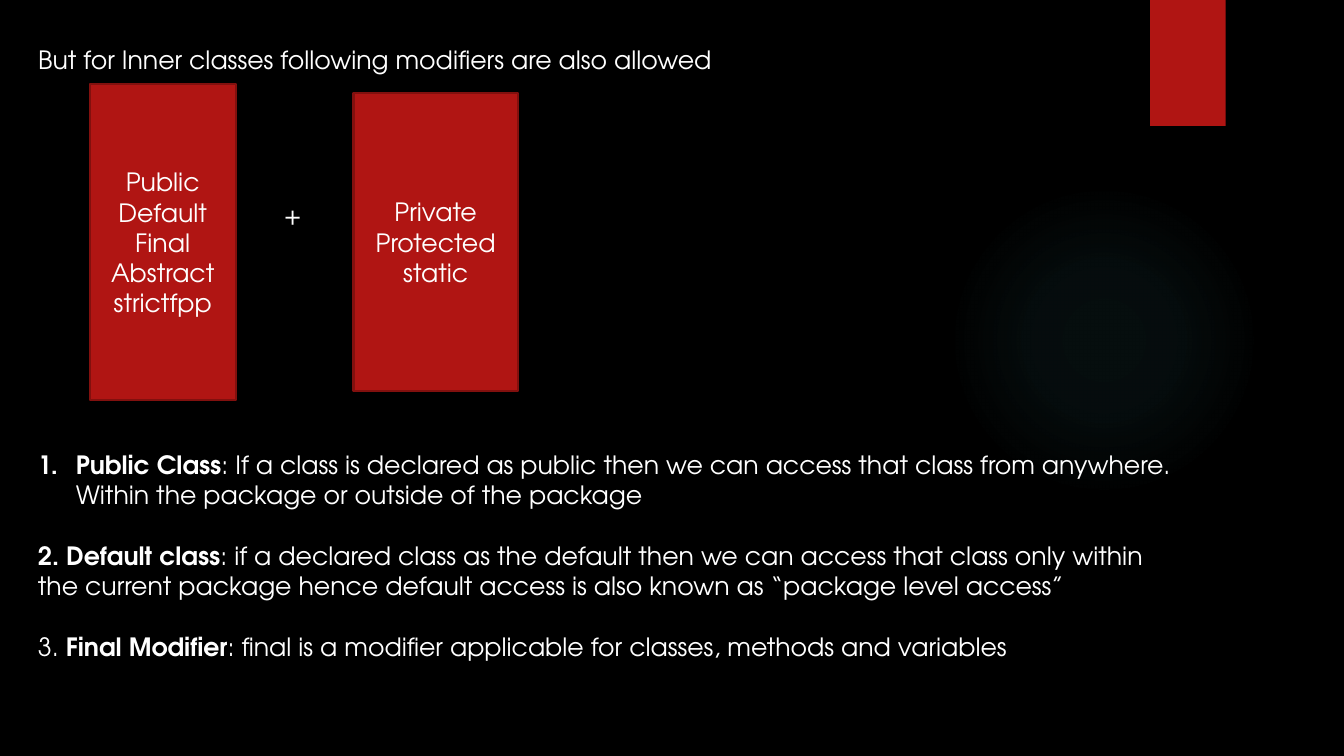
"""Build a slide on the modifiers allowed for inner classes."""
from dataclasses import dataclass

from lxml.etree import SubElement
from pptx import Presentation
from pptx.dml.color import RGBColor
from pptx.enum.shapes import MSO_SHAPE
from pptx.enum.text import MSO_ANCHOR, MSO_AUTO_SIZE, PP_ALIGN
from pptx.oxml import parse_xml
from pptx.oxml.ns import nsdecls, qn
from pptx.shapes.autoshape import Shape
from pptx.slide import Slide
from pptx.text.text import TextFrame
from pptx.util import Pt

BLACK = RGBColor(0x00, 0x00, 0x00)
WHITE = RGBColor(0xFF, 0xFF, 0xFF)
RED = RGBColor(0xB0, 0x15, 0x13)
DARK_RED = RGBColor(0x82, 0x10, 0x0E)
TEAL = RGBColor(0x50, 0xB9, 0xC1)

FONT_FORMAT = {"name": "TeX Gyre Adventor", "size": Pt(18)}
FRAME_FORMAT = {"word_wrap": True, "auto_size": MSO_AUTO_SIZE.NONE}
NUMBER_INDENT = Pt(27)
DEFINITION_GAP = Pt(21.6)
GLOW_STOPS = ((0, 7), (36, 6), (69, 0))


@dataclass(frozen=True)
class Box:
    """Position and size in points."""

    left: float
    top: float
    width: float
    height: float

    def lengths(self) -> tuple[Pt, Pt, Pt, Pt]:
        """Return the four lengths in the order python-pptx expects."""
        return Pt(self.left), Pt(self.top), Pt(self.width), Pt(self.height)


@dataclass(frozen=True)
class Phrase:
    """A piece of text in one weight."""

    text: str
    bold: bool = False


@dataclass(frozen=True)
class ModifierGroup:
    """A red panel listing modifiers."""

    box: Box
    modifiers: tuple[str, ...]


Lines = tuple[tuple[Phrase, ...], ...]

GLOW_BOX = Box(677.5, 131.8, 221.8, 221.8)
TAB_BOX = Box(821.5, 0, 54, 90)
HEADING_BOX = Box(20, 28, 883.4, 51)
PLUS_BOX = Box(186, 139, 46, 29)
DEFINITIONS_BOX = Box(20, 317.5, 834.5, 160)

HEADING: Lines = ((Phrase("But for Inner classes following modifiers are also allowed"),),)
PLUS: Lines = ((Phrase("+"),),)
MODIFIER_GROUPS = (
    ModifierGroup(Box(64, 60, 104.4, 226),
                  ("Public", "Default", "Final", "Abstract strictfpp")),
    ModifierGroup(Box(252.5, 66.5, 117.4, 212.8),
                  ("Private", "Protected", "static")),
)
DEFINITIONS: Lines = (
    (Phrase("Public Class", True),
     Phrase(": If a class is declared as public then we can access that class "
            "from anywhere. Within the package or outside of the package")),
    (Phrase("2. Default class", True),
     Phrase(": if a declared class as the default then we can access that class "
            "only within the current package hence default access is also known "
            "as “package level access”")),
    (Phrase("3. "), Phrase("Final Modifier", True),
     Phrase(": final is a modifier applicable for classes, methods and variables")),
)


def write_lines(frame: TextFrame, lines: Lines, alignment: PP_ALIGN = PP_ALIGN.LEFT,
                anchor: MSO_ANCHOR = MSO_ANCHOR.TOP, gap: Pt = Pt(0)) -> None:
    """Fill a text frame with one paragraph per line."""
    for attribute, value in {**FRAME_FORMAT, "vertical_anchor": anchor}.items():
        setattr(frame, attribute, value)
    for index, line in enumerate(lines):
        paragraph = frame.add_paragraph() if index else frame.paragraphs[0]
        paragraph.alignment = alignment
        if index:
            paragraph.space_before = gap
        for phrase in line:
            run = paragraph.add_run()
            run.text = phrase.text
            for attribute, value in {**FONT_FORMAT, "bold": phrase.bold}.items():
                setattr(run.font, attribute, value)
            run.font.color.rgb = WHITE


def add_panel(slide: Slide, box: Box, kind: MSO_SHAPE = MSO_SHAPE.RECTANGLE) -> Shape:
    """Add a red shape without line or shadow."""
    panel = slide.shapes.add_shape(kind, *box.lengths())
    panel.shadow.inherit = False
    panel.fill.solid()
    panel.fill.fore_color.rgb = RED
    panel.line.fill.background()
    return panel


def add_glow(slide: Slide) -> None:
    """Add the faint circular glow behind the content."""
    glow = add_panel(slide, GLOW_BOX, MSO_SHAPE.OVAL)
    stops = "".join(
        f'<a:gs pos="{position * 1000}"><a:srgbClr val="{TEAL}">'
        f'<a:alpha val="{opacity * 1000}"/></a:srgbClr></a:gs>'
        for position, opacity in GLOW_STOPS)
    gradient = parse_xml(
        f'<a:gradFill {nsdecls("a")}><a:gsLst>{stops}</a:gsLst><a:path path="circle">'
        '<a:fillToRect l="50000" t="50000" r="50000" b="50000"/></a:path></a:gradFill>')
    properties = glow.element.spPr
    properties.replace(properties.find(qn("a:solidFill")), gradient)


def add_heading(slide: Slide) -> None:
    """Place and format the title placeholder."""
    title = slide.shapes.title
    title.left, title.top, title.width, title.height = HEADING_BOX.lengths()
    write_lines(title.text_frame, HEADING)
    title.text_frame.paragraphs[0].line_spacing = 1.0


def add_modifier_group(slide: Slide, group: ModifierGroup) -> None:
    """Add a panel with its centred modifiers."""
    panel = add_panel(slide, group.box)
    panel.line.color.rgb = DARK_RED
    panel.line.width = Pt(1.5)
    lines = tuple((Phrase(modifier),) for modifier in group.modifiers)
    write_lines(panel.text_frame, lines, PP_ALIGN.CENTER, MSO_ANCHOR.MIDDLE)


def add_definitions(slide: Slide) -> None:
    """Add the definitions, the first with an automatic number."""
    frame = slide.shapes.add_textbox(*DEFINITIONS_BOX.lengths()).text_frame
    write_lines(frame, DEFINITIONS, gap=DEFINITION_GAP)
    properties = frame.paragraphs[0]._p.get_or_add_pPr()
    properties.set("marL", str(NUMBER_INDENT))
    properties.set("indent", str(-NUMBER_INDENT))
    SubElement(properties, qn("a:buAutoNum"), type="arabicPeriod")


def main() -> None:
    """Create and save the presentation."""
    presentation = Presentation()
    presentation.slide_width = Pt(960)
    presentation.slide_height = Pt(540)
    slide = presentation.slides.add_slide(presentation.slide_layouts[5])
    slide.background.fill.solid()
    slide.background.fill.fore_color.rgb = BLACK

    add_glow(slide)
    add_panel(slide, TAB_BOX)
    add_heading(slide)
    for group in MODIFIER_GROUPS:
        add_modifier_group(slide, group)
    plus = slide.shapes.add_textbox(*PLUS_BOX.lengths())
    write_lines(plus.text_frame, PLUS, PP_ALIGN.CENTER)
    add_definitions(slide)
    presentation.save("out.pptx")


if __name__ == "__main__":
    main()
